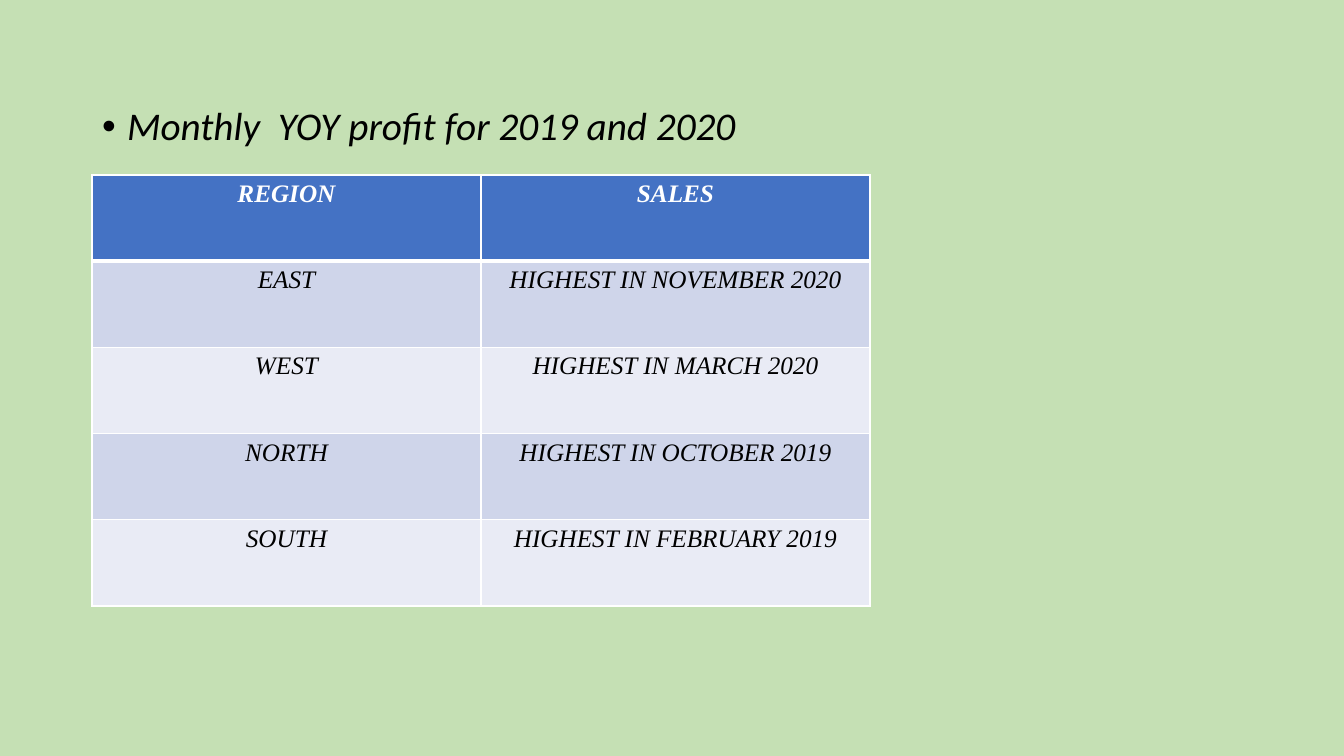
"""Builds a slide with a bulleted heading and a table of regional sales peaks."""
from lxml.etree import SubElement
from pptx import Presentation
from pptx.dml.color import RGBColor
from pptx.enum.text import MSO_ANCHOR, PP_ALIGN
from pptx.oxml.ns import qn
from pptx.util import Pt

COLORS = {
    "background": "C5E0B4",
    "header": "4472C4",
    "band_dark": "CFD5EA",
    "band_light": "E9EBF5",
    "white": "FFFFFF",
    "black": "000000",
}
SALES_ROWS = [
    ("REGION", "SALES"),
    ("EAST", "HIGHEST IN NOVEMBER 2020"),
    ("WEST", "HIGHEST IN MARCH 2020"),
    ("NORTH", "HIGHEST IN OCTOBER 2019"),
    ("SOUTH", "HIGHEST IN FEBRUARY 2019"),
]
SLIDE_W, SLIDE_H = 1344, 756
EMU_PER_PX = 12192000 / SLIDE_W


def px(length):
    return round(length * EMU_PER_PX)


def color(name):
    return RGBColor.from_string(COLORS[name])


class SlideBuilder:
    def __init__(self, prs):
        self.body_font = "Calibri"
        self.table_font = "Times New Roman"
        self.s = prs.slides.add_slide(prs.slide_layouts[1])
        title = self.s.shapes.title
        title.element.getparent().remove(title.element)
        fill = self.s.background.fill
        fill.solid()
        fill.fore_color.rgb = color("background")

    def style(self, p, font, size, ink, bold=False):
        for r in p.runs:
            r.font.name = font
            r.font.size = Pt(size)
            r.font.bold = bold
            r.font.italic = True
            r.font.color.rgb = color(ink)

    def bullet(self, text, left, top, width, height):
        sp = self.s.placeholders[1]
        sp.left, sp.top, sp.width, sp.height = map(px, (left, top, width, height))
        tf = sp.text_frame
        tf.text = text
        tf.vertical_anchor = MSO_ANCHOR.TOP
        p = tf.paragraphs[0]
        p.line_spacing = 0.9
        p.space_before = Pt(10)
        pPr = p._p.get_or_add_pPr()
        pPr.set("marL", str(px(25)))
        pPr.set("indent", str(px(-25)))
        SubElement(pPr, qn("a:buFont"), typeface="Arial")
        SubElement(pPr, qn("a:buChar"), char="•")
        self.style(p, self.body_font, 28, "black")

    def borders(self, cell, row):
        tcPr = cell._tc.get_or_add_tcPr()
        widths = {"L": 1, "R": 1, "T": 3 if row == 1 else 1, "B": 3 if row == 0 else 1}
        for side, width in widths.items():
            ln = SubElement(tcPr, qn(f"a:ln{side}"), w=str(Pt(width)))
            fill = SubElement(ln, qn("a:solidFill"))
            SubElement(fill, qn("a:srgbClr"), val=COLORS["white"])

    def table(self, rows, left, top, width, height):
        frame = self.s.shapes.add_table(
            len(rows), len(rows[0]), *map(px, (left, top, width, height)))
        for i, texts in enumerate(rows):
            header = i == 0
            band = "header" if header else ("band_light", "band_dark")[i % 2]
            for j, text in enumerate(texts):
                cell = frame.table.cell(i, j)
                self.borders(cell, i)
                cell.fill.solid()
                cell.fill.fore_color.rgb = color(band)
                cell.text = text
                p = cell.text_frame.paragraphs[0]
                p.alignment = PP_ALIGN.CENTER
                self.style(p, self.table_font, 18, "white" if header else "black", header)


def main():
    prs = Presentation()
    prs.slide_width, prs.slide_height = px(SLIDE_W), px(SLIDE_H)
    builder = SlideBuilder(prs)
    builder.bullet("Monthly  YOY profit for 2019 and 2020", 92, 102, 1159, 579)
    builder.table(SALES_ROWS, 92, 175, 778, 431)
    prs.save("out.pptx")


if __name__ == "__main__":
    main()
